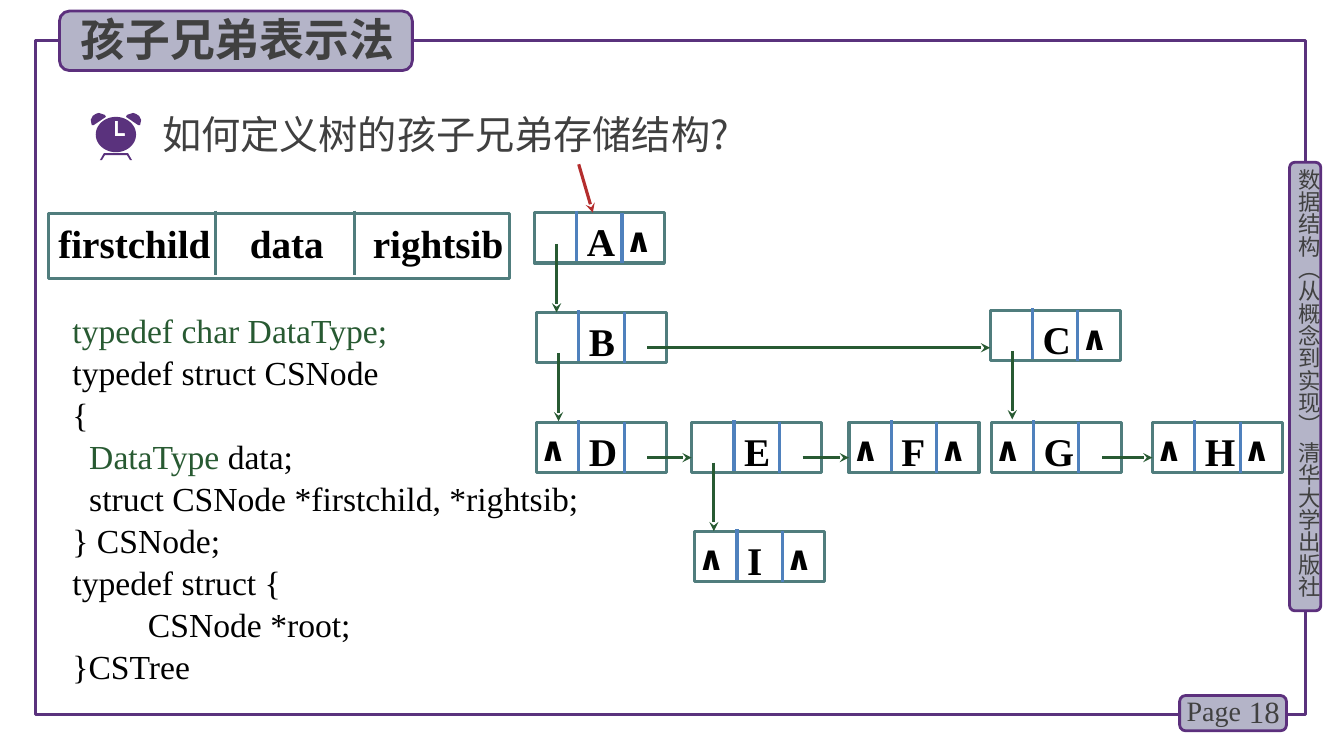
from dataclasses import dataclass
from math import cos, pi, sin

from lxml.etree import SubElement
from pptx import Presentation
from pptx.dml.color import RGBColor as RGB
from pptx.enum.shapes import MSO_CONNECTOR as LINK, MSO_SHAPE as SHAPE
from pptx.enum.text import MSO_ANCHOR as ANCHOR, PP_ALIGN as ALIGN
from pptx.oxml.ns import qn
from pptx.util import Inches, Pt


@dataclass(frozen=True)
class Theme:
    frame: str = "5A327D"
    edge: str = "5C307D"
    panel: str = "B4B4C8"
    text: str = "404040"
    ink: str = "000000"
    cell: str = "507D7D"
    split: str = "4F81BD"
    green: str = "285A32"
    red: str = "B42D2D"
    serif: str = "Times New Roman"
    hans: str = "Noto Sans CJK SC"
    sans: str = "Calibri"
    title: int = 32
    large: int = 28
    body: int = 24
    number: int = 22
    small: int = 20
    side: int = 16
    line: float = 2.25
    border: float = 2
    lead: int = 30


T = Theme()
PAD = (0.1, 0.05, 0.1, 0.05)
NODE = (1.29, 0.5)
NODES = {
    "A": (5.3, 2.11), "B": (5.32, 3.1), "C": (9.82, 3.08),
    "D": (5.32, 4.19), "E": (6.86, 4.19), "F": (8.42, 4.19),
    "G": (9.83, 4.19), "H": (11.43, 4.19), "I": (6.89, 5.27),
}
CHILD = {"A": "B", "B": "D", "C": "G", "E": "I"}
NEXT = {"B": "C", "D": "E", "E": "F", "G": "H"}
CODE = [
    [("typedef char DataType;", T.green)],
    "typedef struct CSNode",
    "{",
    [("  ", T.ink), ("DataType", T.green), (" data;", T.ink)],
    "  struct CSNode *firstchild, *rightsib;",
    "} CSNode;",
    "typedef struct {",
    "         CSNode *root;",
    "}CSTree",
]


def write(shape, *lines, size=T.body, color=T.ink, font=T.serif, bold=False,
          align=ALIGN.LEFT, anchor=ANCHOR.TOP, pad=PAD, lead=None, tabs=(), vert=None):
    """Each line is a string or a list of (text, colour) runs."""
    frame = shape.text_frame
    frame.word_wrap = True
    frame.vertical_anchor = anchor
    (frame.margin_left, frame.margin_top,
     frame.margin_right, frame.margin_bottom) = map(Inches, pad)
    if vert:
        frame._txBody.bodyPr.set("vert", vert)
    for i, line in enumerate(lines):
        para = frame.add_paragraph() if i else frame.paragraphs[0]
        para.alignment = align
        if lead:
            para.line_spacing = Pt(lead)
        if tabs:
            stops = SubElement(para._p.get_or_add_pPr(), qn("a:tabLst"))
            for tab in tabs:
                SubElement(stops, qn("a:tab"), pos=str(Inches(tab)), algn="l")
        for words, tint in ([(line, color)] if isinstance(line, str) else line):
            run = para.add_run()
            run.text = words
            run.font.size, run.font.bold, run.font.name = Pt(size), bold, font
            run.font.color.rgb = RGB.from_string(tint)
            SubElement(run._r.get_or_add_rPr(), qn("a:ea"), typeface=font)


def label(slide, box, *lines, **style):
    write(slide.shapes.add_textbox(*map(Inches, box)), *lines, **style)


def paint(shape, fill=None, line=None, width=T.line):
    shape.shadow.inherit = False
    if fill:
        shape.fill.solid()
        shape.fill.fore_color.rgb = RGB.from_string(fill)
    else:
        shape.fill.background()
    if line:
        shape.line.color.rgb = RGB.from_string(line)
        shape.line.width = Pt(width)
    else:
        shape.line.fill.background()


def block(slide, box, kind=SHAPE.RECTANGLE, **style):
    shape = slide.shapes.add_shape(kind, *map(Inches, box))
    paint(shape, **style)
    return shape


def panel(slide, box):
    block(slide, box, SHAPE.ROUNDED_RECTANGLE, fill=T.panel, line=T.edge, width=T.border)


def stroke(slide, start, end, color, arrow=False):
    line = slide.shapes.add_connector(LINK.STRAIGHT, *map(Inches, (*start, *end)))
    line.line.color.rgb = RGB.from_string(color)
    line.line.width = Pt(T.line)
    if arrow:
        SubElement(line.line._get_or_add_ln(), qn("a:tailEnd"), type="stealth")
    SubElement(line._element.spPr, qn("a:effectLst"))


def outline(slide, *rings):
    rings = [[(Inches(x), Inches(y)) for x, y in ring] for ring in rings]
    path = slide.shapes.build_freeform(*rings[0][0])
    path.add_line_segments(rings[0][1:])
    for ring in rings[1:]:
        path.move_to(*ring[0])
        path.add_line_segments(ring[1:])
    paint(path.convert_to_shape(), fill=T.frame)


def border(slide, box):
    x, y, w, h = box
    block(slide, box, line=T.frame)
    # Side banner
    panel(slide, (x + w - 0.16, y + 1.21, 0.31, 4.45))
    label(slide, (x + w - 0.1, y + 1.27, 0.27, 4.49),
          "数据结构（从概念到实现） 清华大学出版社", size=T.side, color=T.text,
          font=T.hans, pad=(0, 0, 0, 0), vert="eaVert")
    # Page number
    panel(slide, (x + w - 1.25, y + h - 0.19, 1.06, 0.35))
    label(slide, (x + w - 0.75, y + h - 0.23, 0.59, 0.4), "18", size=T.number,
          color=T.text, align=ALIGN.RIGHT, anchor=ANCHOR.MIDDLE)
    label(slide, (x + w - 1.28, y + h - 0.26, 0.78, 0.44), "Page",
          size=T.small, color=T.text)


def head(slide, box):
    x, y, w, h = box
    panel(slide, box)
    label(slide, (x + 0.11, y - 0.04, w - 0.12, h + 0.05), "孩子兄弟表示法",
          size=T.title, color=T.text, font=T.hans, bold=True)


def clock(slide, box):
    x, y, w, h = box
    mid = x + w / 2
    arc = [2 * pi * i / 60 for i in range(60)]
    face = [(mid + 0.2 * cos(a), y + 0.215 + 0.175 * sin(a)) for a in arc]
    hands = [(-0.01, 0.08), (0.02, 0.08), (0.02, 0.2), (0.09, 0.2), (0.09, 0.23), (-0.01, 0.23)]
    ear = [(0.24, 0.12), (0.25, 0.07), (0.23, 0.03), (0.2, 0.01), (0.17, 0),
           (0.14, 0.01), (0.11, 0.02), (0.1, 0.04), (0.22, 0.12)]
    feet = [(-0.16, 0.47), (-0.12, 0.4), (0.12, 0.4), (0.16, 0.47),
            (0.14, 0.47), (0.11, 0.42), (-0.11, 0.42), (-0.14, 0.47)]
    outline(slide, [(mid + dx, y + dy) for dx, dy in feet])
    for side in (-1, 1):
        outline(slide, [(mid + side * dx, y + dy) for dx, dy in ear])
    outline(slide, face, [(mid + dx, y + dy) for dx, dy in hands])


def ask(slide, box):
    x, y, w, h = box
    clock(slide, (x, y + 0.07, 0.5, 0.47))
    label(slide, (x + 0.61, y, w - 0.61, h), "如何定义树的孩子兄弟存储结构?",
          size=T.large, color=T.text, font=T.hans)


def fields(slide, box):
    x, y, w, h = box
    write(block(slide, box, line=T.cell), "firstchild\tdata\trightsib", size=T.large,
          bold=True, pad=(0.1, 0.06, 0, 0.01), tabs=(1.9, 3.12))
    for dx in (1.66, 3.04):
        stroke(slide, (x + dx, y - 0.03), (x + dx, y - 0.03 + h), T.cell)


def node(slide, box, name):
    x, y, w, h = box
    write(block(slide, box, line=T.cell), name, size=T.large, bold=True,
          pad=(0.52, 0.05, 0, 0))
    for dx, dy in ((0.42, -0.02), (0.87, 0)):
        stroke(slide, (x + dx, y + dy), (x + dx, y + dy + h), T.split)
    # A missing link shows as an empty mark
    for links, dx in ((CHILD, 0.03), (NEXT, 0.9)):
        if name not in links and (name, links) != ("A", CHILD):
            label(slide, (x + dx, y + 0.06, 0.4, 0.4), "∧", font=T.sans,
                  bold=True, pad=(0, 0, 0, 0))


def tree(slide):
    for name, spot in NODES.items():
        node(slide, (*spot, *NODE), name)
    for name in CHILD:
        x, y = NODES[name]
        top = y + (0.31 if name == "A" else 0.4)
        stroke(slide, (x + 0.22, top), (x + 0.22, top + 0.68), T.green, arrow=True)
    for name, peer in NEXT.items():
        x, y = NODES[name]
        stroke(slide, (x + 1.1, y + 0.35), (NODES[peer][0], y + 0.35), T.green, arrow=True)
    # Root pointer
    x, y = NODES["A"]
    stroke(slide, (x + 0.44, y - 0.48), (x + 0.58, y), T.red, arrow=True)


def main():
    deck = Presentation()
    deck.slide_width, deck.slide_height = Inches(13.33), Inches(7.5)
    slide = deck.slides.add_slide(deck.slide_layouts[6])
    border(slide, (0.35, 0.4, 12.6, 6.69))
    head(slide, (0.59, 0.11, 3.5, 0.59))
    tree(slide)
    ask(slide, (0.9, 1.05, 8.51, 0.57))
    label(slide, (0.62, 3.01, 5.55, 3.89), *CODE, lead=T.lead)
    fields(slide, (0.48, 2.12, 4.57, 0.64))
    deck.save("out.pptx")


if __name__ == "__main__":
    main()
